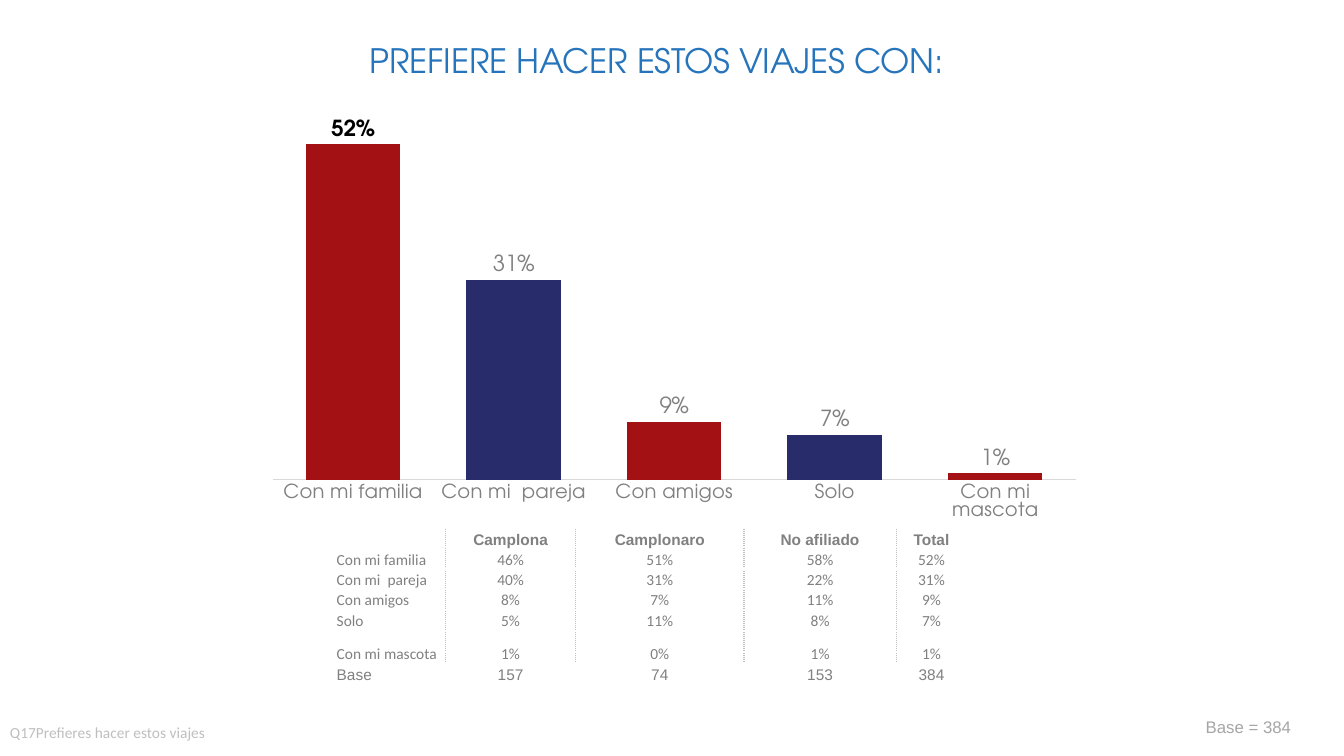
from dataclasses import dataclass

from lxml import etree
from pptx import Presentation
from pptx.chart.data import CategoryChartData
from pptx.dml.color import RGBColor
from pptx.enum.chart import XL_CHART_TYPE, XL_LABEL_POSITION, XL_TICK_LABEL_POSITION, XL_TICK_MARK
from pptx.enum.text import MSO_ANCHOR, PP_ALIGN
from pptx.oxml import parse_xml
from pptx.oxml.ns import nsdecls, qn
from pptx.util import Inches, Pt

COLUMNS = XL_CHART_TYPE.COLUMN_CLUSTERED
OUTSIDE_END = XL_LABEL_POSITION.OUTSIDE_END
NO_LABELS = XL_TICK_LABEL_POSITION.NONE
NO_TICK = XL_TICK_MARK.NONE
MIDDLE, BOTTOM = MSO_ANCHOR.MIDDLE, MSO_ANCHOR.BOTTOM
LEFT, CENTER = PP_ALIGN.LEFT, PP_ALIGN.CENTER


@dataclass(frozen=True)
class Theme:
    """Colours, fonts and type sizes of the slide."""
    title: str = "2674BB"
    red: str = "A31115"
    navy: str = "282C6A"
    text: str = "808080"
    black: str = "000000"
    base: str = "A6A6A6"
    faint: str = "BFBFBF"
    axis: str = "D9D9D9"
    white: str = "FFFFFF"
    display: str = "TeX Gyre Adventor"
    body: str = "Calibri"
    plain: str = "Arial"
    title_size: int = 24
    label_size: int = 16
    category_size: int = 14
    base_size: int = 12
    small_size: int = 11


THEME = Theme()
CATEGORIES = ["Con mi familia", "Con mi  pareja", "Con amigos", "Solo", "Con mi mascota"]
SHARES = [0.52, 0.31, 0.09, 0.07, 0.01]
GROUPS = ["", "Camplona", "Camplonaro", "No afiliado", "Total"]
BREAKDOWN = [
    ["46%", "51%", "58%", "52%"],
    ["40%", "31%", "22%", "31%"],
    ["8%", "7%", "11%", "9%"],
    ["5%", "11%", "8%", "7%"],
    ["1%", "0%", "1%", "1%"],
]
BASES = ["Base", "157", "74", "153", "384"]
COLUMN_WIDTHS = [1.09, 1.29, 1.67, 1.51, 0.7]
ROW_HEIGHTS = [0.2, 0.2, 0.2, 0.2, 0.21, 0.32, 0.2]


def rgb(code):
    """Turn a hex code into a colour."""
    return RGBColor.from_string(code)


def style_font(font, name, size, color, bold=False):
    """Apply a type style to a font."""
    for key, value in {"name": name, "size": Pt(size), "bold": bold}.items():
        setattr(font, key, value)
    font.color.rgb = rgb(color)


def add_text(page, box, words, style, align=LEFT, wrap=True, margins=(0.1, 0.05, 0.1, 0.05)):
    """Place one line of text in a box and return its span."""
    frame = page.shapes.add_textbox(*map(Inches, box)).text_frame
    frame.word_wrap = wrap
    for side, margin in zip(("left", "top", "right", "bottom"), margins):
        setattr(frame, f"margin_{side}", Inches(margin))
    para = frame.paragraphs[0]
    para.alignment = align
    span = para.add_run()
    span.text = words
    style_font(span.font, *style)
    return span


def set_plot_area(chart, left, top, width, height):
    """Fix the inner plot area as fractions of the chart."""
    marks = "".join(
        f'<c:{tag} val="{value}"/>'
        for tag, value in [
            ("layoutTarget", "inner"), ("xMode", "edge"), ("yMode", "edge"),
            ("x", left), ("y", top), ("w", width), ("h", height),
        ]
    )
    layout = parse_xml(f'<c:layout {nsdecls("c")}><c:manualLayout>{marks}</c:manualLayout></c:layout>')
    plot_area = chart._chartSpace.chart.plotArea
    for previous in plot_area.findall(qn("c:layout")):
        plot_area.remove(previous)
    plot_area.insert(0, layout)


def add_share_chart(page, box):
    """Draw the columns of travel companions."""
    data = CategoryChartData(number_format="0%")
    data.categories = CATEGORIES
    data.add_series("Total", SHARES)
    chart = page.shapes.add_chart(COLUMNS, *map(Inches, box), data).chart
    chart.has_legend = chart.has_title = False
    style_font(chart.font, THEME.body, 10, THEME.black)
    set_plot_area(chart, 0.038, 0, 0.928, 0.916)

    category_axis, value_axis = chart.category_axis, chart.value_axis
    for axis in (category_axis, value_axis):
        axis.has_major_gridlines = False
        axis.major_tick_mark = axis.minor_tick_mark = NO_TICK
    style_font(category_axis.tick_labels.font, THEME.display, THEME.category_size, THEME.text)
    category_axis.format.line.color.rgb = rgb(THEME.axis)
    category_axis.format.line.width = Pt(0.75)
    value_axis.tick_label_position = NO_LABELS
    value_axis.format.line.fill.background()
    value_axis.minimum_scale, value_axis.maximum_scale = 0, 0.6

    plot = chart.plots[0]
    plot.gap_width = 70
    plot.vary_by_categories = False
    series = plot.series[0]
    series.format.fill.solid()
    series.format.fill.fore_color.rgb = rgb(THEME.red)
    for index in range(1, len(SHARES), 2):
        fill = series.points[index].format.fill
        fill.solid()
        fill.fore_color.rgb = rgb(THEME.navy)

    labels = series.data_labels
    label_format = {"show_value": True, "number_format": "0%",
                    "number_format_is_linked": False, "position": OUTSIDE_END}
    for key, value in label_format.items():
        setattr(labels, key, value)
    style_font(labels.font, THEME.display, THEME.label_size, THEME.text)
    leader = series.points[0].data_label
    style_font(leader.font, THEME.display, THEME.label_size, THEME.black, True)
    leader.position = OUTSIDE_END


def set_borders(cell, dotted):
    """Draw the cell edges, with the sides named in dotted as grey dots."""
    properties = cell._tc.get_or_add_tcPr()
    for index, side in enumerate("LRTB"):
        color, dash = (THEME.faint, "sysDot") if side in dotted else (THEME.white, "solid")
        properties.insert(index, parse_xml(
            f'<a:ln{side} {nsdecls("a")} w="12700"><a:solidFill><a:srgbClr val="{color}"/></a:solidFill>'
            f'<a:prstDash val="{dash}"/></a:ln{side}>'
        ))


def fill_cell(cell, words, font_name, bold, anchor, align):
    """Write one table cell."""
    cell.fill.background()
    cell_format = {"margin_left": Inches(0.01), "margin_right": Inches(0.01),
                   "margin_top": Inches(0.01), "margin_bottom": 0, "vertical_anchor": anchor}
    for key, value in cell_format.items():
        setattr(cell, key, value)
    para = cell.text_frame.paragraphs[0]
    para.alignment = align
    if words:
        span = para.add_run()
        span.text = words
        style_font(span.font, font_name, THEME.small_size, THEME.text, bold)
    else:
        etree.SubElement(para._p, qn("a:endParaRPr"), sz=str(THEME.small_size * 100))


def add_breakdown_table(page, box):
    """Lay out the shares by affiliation, with the bases below."""
    rows = [GROUPS, *([name, *shares] for name, shares in zip(CATEGORIES, BREAKDOWN)), BASES]
    last_row, last_column = len(rows) - 1, len(GROUPS) - 1
    table = page.shapes.add_table(len(rows), len(GROUPS), *map(Inches, box)).table
    table.first_row = table.horz_banding = False
    for column, width in zip(table.columns, COLUMN_WIDTHS):
        column.width = Inches(width)
    for row, height in zip(table.rows, ROW_HEIGHTS):
        row.height = Inches(height)
    for r, row in enumerate(rows):
        font_name = THEME.plain if r in (0, last_row) else THEME.body
        for c, words in enumerate(row):
            cell = table.cell(r, c)
            fill_cell(cell, words, font_name, r == 0, MIDDLE if r == 0 else BOTTOM, CENTER if c else LEFT)
            dotted = ("L" if c else "") + ("R" if c < last_column else "")
            set_borders(cell, "" if r == last_row else dotted)


def add_title(page, box):
    """Place the slide heading."""
    style = (THEME.display, THEME.title_size, THEME.title)
    span = add_text(page, box, "PREFIERE HACER ESTOS VIAJES CON:", style, CENTER, margins=(0, 0.01, 0, 0))
    span.font._element.set("spc", "-10")


def add_footer(page, box):
    """Place the question on the left and the sample size on the right."""
    left, top, width, height = box
    add_text(page, (left, top + 0.06, 11.56, height), "Q17Prefieres hacer estos viajes",
             (THEME.body, THEME.small_size, THEME.faint))
    add_text(page, (left + width - 1.06, top, 1.06, height), "Base = 384",
             (THEME.plain, THEME.base_size, THEME.base), wrap=False)


def main():
    """Build and save the deck."""
    deck = Presentation()
    deck.slide_width, deck.slide_height = Inches(13.33), Inches(7.5)
    page = deck.slides.add_slide(deck.slide_layouts[6])
    add_share_chart(page, (2.38, 0.92, 8.58, 4.25))
    add_breakdown_table(page, (3.33, 5.25, sum(COLUMN_WIDTHS), sum(ROW_HEIGHTS)))
    add_footer(page, (0, 7.06, 12.92, 0.3))
    add_title(page, (1.46, 0.39, 10.11, 0.42))
    deck.save("out.pptx")


if __name__ == "__main__":
    main()
